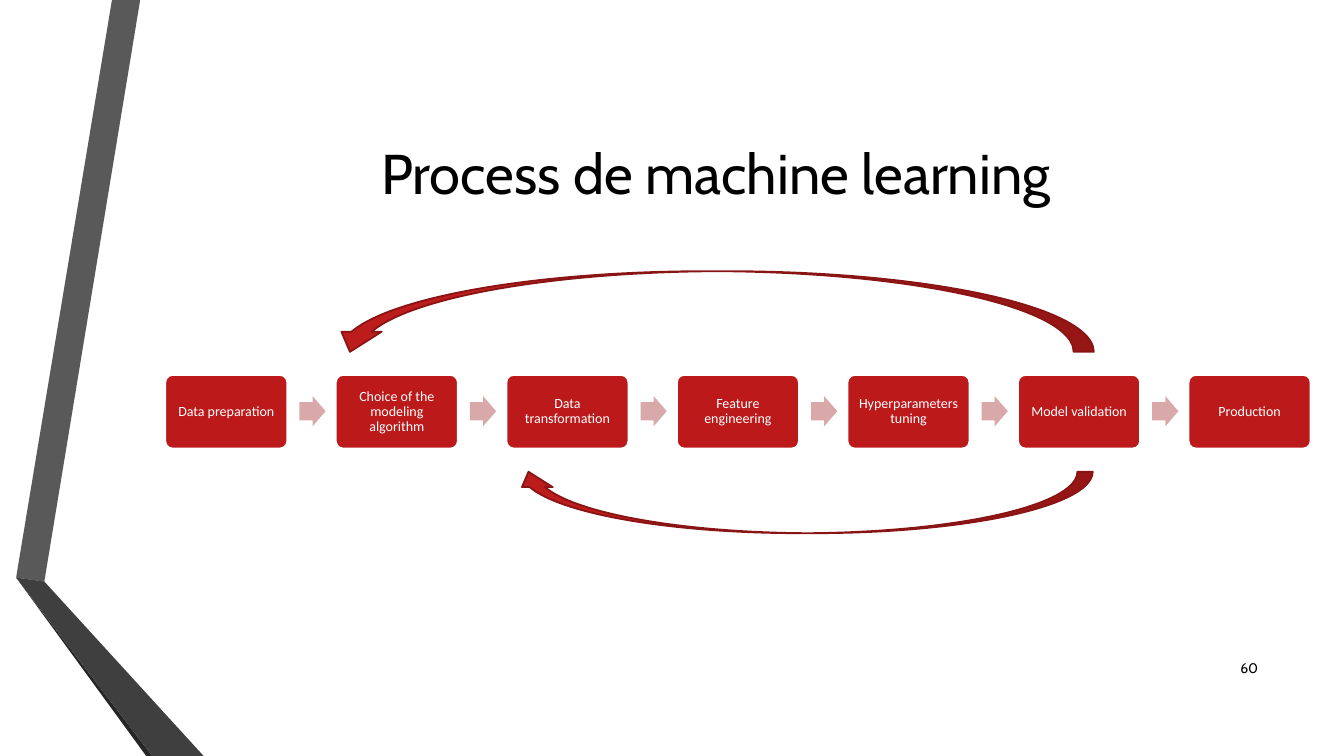
from dataclasses import dataclass

from pptx import Presentation
from pptx import util as u
from pptx.dml.color import RGBColor
from pptx.enum import shapes, text


@dataclass(frozen=True)
class Theme:
    ink: str = "000000"
    paper: str = "FFFFFF"
    step: str = "BC191B"
    link: str = "D9A9A9"
    loop: str = "BC1C1C"
    loop_edge: str = "891414"
    facet_light: str = "595959"
    facet_mid: str = "3F3F3F"
    facet_dark: str = "262626"
    heading_font: str = "Cabin"
    step_font: str = "Calibri"
    title_size: float = 40
    small_size: float = 10
    line_width: float = 1.25


def write_text(shape, wording, *, font, size, color, align="CENTER",
               margins=(0.1, 0.05), spacing=1.0):
    """Fill a shape with one formatted paragraph; margins are in inches."""
    frame = shape.text_frame
    frame.text = wording
    frame.word_wrap = True
    frame.auto_size = text.MSO_AUTO_SIZE.NONE
    frame.vertical_anchor = text.MSO_ANCHOR.MIDDLE
    frame.margin_left = frame.margin_right = u.Inches(margins[0])
    frame.margin_top = frame.margin_bottom = u.Inches(margins[1])
    paragraph = frame.paragraphs[0]
    paragraph.alignment = getattr(text.PP_ALIGN, align)
    paragraph.line_spacing = spacing
    paragraph.space_before = u.Pt(0)
    paragraph.font.name = font
    paragraph.font.size = u.Pt(size)
    paragraph.font.bold = False
    paragraph.font.color.rgb = RGBColor.from_string(color)


class SlideBuilder:
    """Places elements by percentages of the slide's width and height."""

    def __init__(self, presentation, theme):
        self.theme = theme
        self.width = presentation.slide_width
        self.height = presentation.slide_height
        title_only = presentation.slide_layouts[5]
        self.slide = presentation.slides.add_slide(title_only)

    def point(self, x, y):
        return round(self.width * x / 100), round(self.height * y / 100)

    def box(self, left, top, width, height):
        return *self.point(left, top), *self.point(width, height)

    def paint(self, shape, fill, line=None):
        shape.shadow.inherit = False
        shape.fill.solid()
        shape.fill.fore_color.rgb = RGBColor.from_string(fill)
        if line:
            shape.line.color.rgb = RGBColor.from_string(line)
            shape.line.width = u.Pt(self.theme.line_width)
        else:
            shape.line.fill.background()

    def title(self, wording, *area):
        title = self.slide.shapes.title
        title.left, title.top, title.width, title.height = self.box(*area)
        write_text(title, wording, font=self.theme.heading_font,
                   size=self.theme.title_size, color=self.theme.ink)

    def page_number(self, number, *area):
        label = self.slide.shapes.add_textbox(*self.box(*area))
        write_text(label, number, font=self.theme.heading_font, align="RIGHT",
                   size=self.theme.small_size, color=self.theme.ink)

    def facet(self, corners, fill):
        start, *others = [self.point(*corner) for corner in corners]
        builder = self.slide.shapes.build_freeform(*start)
        builder.add_line_segments(others, close=True)
        self.paint(builder.convert_to_shape(), fill)

    def preset(self, kind, area, adjustments, fill, line=None):
        shape = self.slide.shapes.add_shape(
            getattr(shapes.MSO_SHAPE, kind), *self.box(*area))
        for index, value in enumerate(adjustments):
            shape.adjustments[index] = value
        self.paint(shape, fill, line)
        return shape

    def step(self, wording, *area):
        card = self.preset("ROUNDED_RECTANGLE", area, [0.1],
                           self.theme.step, self.theme.paper)
        write_text(card, wording, font=self.theme.step_font,
                   size=self.theme.small_size, color=self.theme.paper,
                   margins=(0.06, 0.06), spacing=0.9)

    def link(self, *area):
        self.preset("RIGHT_ARROW", area, [0.6, 0.5], self.theme.link)

    def loop(self, *area, rotation=0, mirrored=False):
        arrow = self.preset("CURVED_UP_ARROW", area, [0.25, 0.5, 0.25],
                            self.theme.loop, self.theme.loop_edge)
        arrow.rotation = rotation
        if mirrored:
            arrow.element.spPr.xfrm.set("flipH", "1")


STEPS = [
    "Data preparation",
    "Choice of the modeling algorithm",
    "Data transformation",
    "Feature engineering",
    "Hyperparameters tuning",
    "Model validation",
    "Production",
]
FIRST_LEFT, PITCH = 12.3, 12.69


def main():
    presentation = Presentation()
    presentation.slide_width = u.Inches(13.33)
    presentation.slide_height = u.Inches(7.5)
    theme = Theme()
    builder = SlideBuilder(presentation, theme)

    # Folded ribbon on the left edge
    fold_left, fold_right = (1.2, 76.4), (3.3, 76.93)
    builder.facet([(10.43, 0), (8.33, 0), fold_left, fold_right],
                  theme.facet_light)
    builder.facet([fold_left, (10.88, 100), (11.33, 100)], theme.facet_dark)
    builder.facet([fold_left, fold_right, (15.15, 100), (11.33, 100)],
                  theme.facet_mid)

    # Title and page number
    builder.title("Process de machine learning", 12.15, 10, 82.2, 25.6)
    builder.page_number("60", 89.85, 85.73, 4.5, 5.33)

    # Chain of steps, with an arrow before each one but the first
    for index, wording in enumerate(STEPS):
        left = FIRST_LEFT + index * PITCH
        if index:
            builder.link(left - 2.71, 52.4, 1.95, 4)
        builder.step(wording, left, 49.6, 9.08, 9.73)

    # Feedback loops from model validation
    builder.loop(24.53, 35.87, 56.85, 10.67, rotation=180)
    builder.loop(38.18, 62.4, 43.13, 8.13, mirrored=True)

    presentation.save("out.pptx")


if __name__ == "__main__":
    main()
